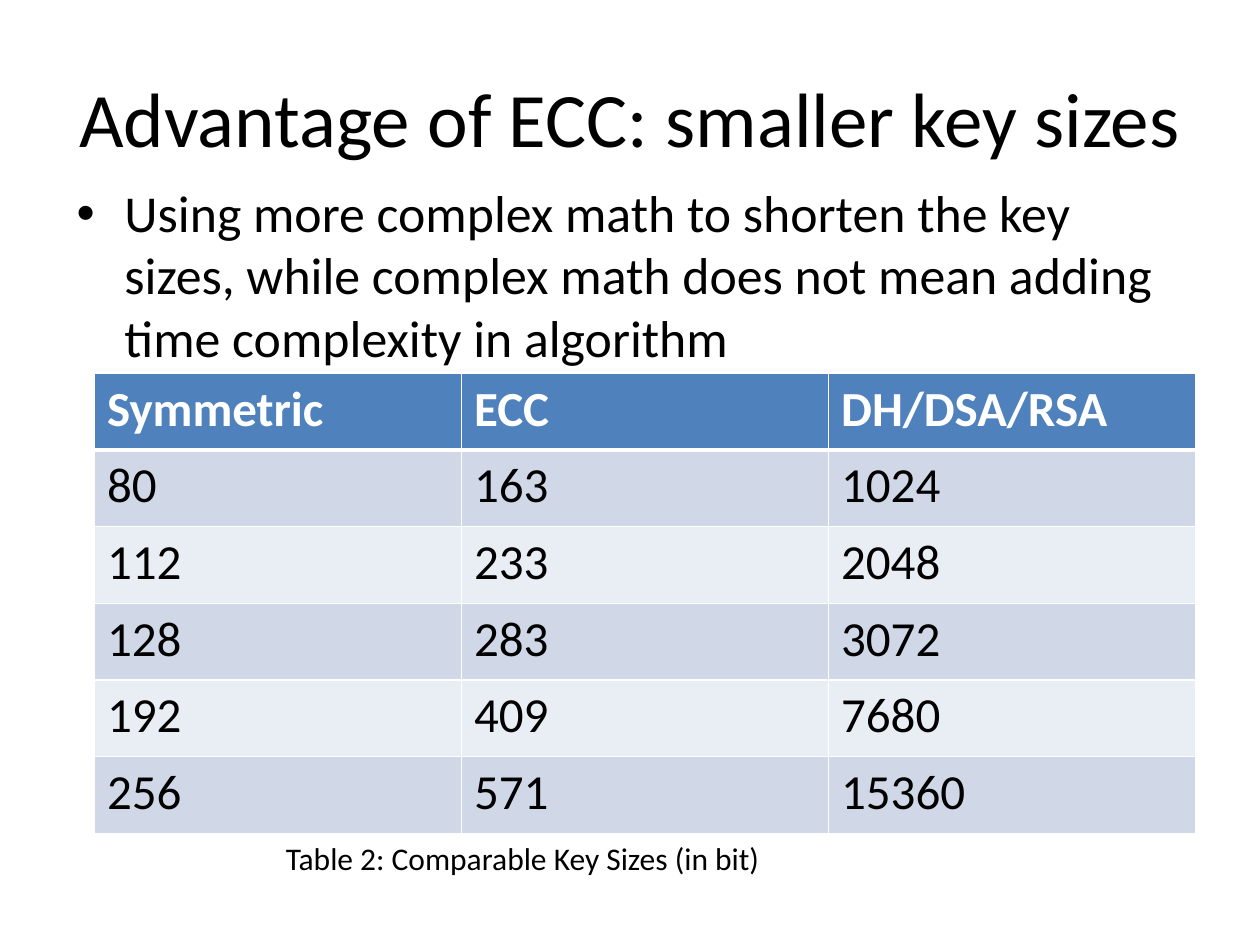
from lxml.etree import SubElement
from pptx import Presentation
from pptx.dml.color import RGBColor
from pptx.enum.text import MSO_ANCHOR as Anchor, PP_ALIGN as Align
from pptx.oxml.ns import qn
from pptx.util import Inches, Pt

WIDTH, HEIGHT = 10, 7.5
BLACK, WHITE, HEADER = "000000", "FFFFFF", "4F81BD"
BANDS = ("D0D8E8", "E9EDF4")
KEY_SIZES = [
    ("Symmetric", "ECC", "DH/DSA/RSA"),
    ("80", "163", "1024"),
    ("112", "233", "2048"),
    ("128", "283", "3072"),
    ("192", "409", "7680"),
    ("256", "571", "15360"),
]


def color(value):
    return RGBColor.from_string(value)


class SlideBuilder:
    """Holds the text style and the current slide."""

    font = "Calibri"

    def __init__(self, slide):
        self.slide = slide

    def area(self, left, top, width, height):
        """Turn shares of the slide's size into lengths."""
        return (Inches(left * WIDTH), Inches(top * HEIGHT),
                Inches(width * WIDTH), Inches(height * HEIGHT))

    def style(self, para, size, fill=BLACK, bold=False):
        para.font.name = self.font
        para.font.size = Pt(size)
        para.font.bold = bold
        para.font.color.rgb = color(fill)

    def text(self, place, words, size, align=Align.LEFT, anchor=Anchor.TOP):
        frame = self.slide.shapes.add_textbox(*self.area(*place)).text_frame
        frame.word_wrap = True
        frame.vertical_anchor = anchor
        para = frame.paragraphs[0]
        para.text = words
        para.alignment = align
        self.style(para, size)
        return para

    def bullet(self, place, words, size, indent):
        props = self.text(place, words, size)._p.get_or_add_pPr()
        props.set("marL", str(Inches(indent)))
        props.set("indent", str(-Inches(indent)))
        SubElement(props, qn("a:buFont")).set("typeface", "Arial")
        SubElement(props, qn("a:buChar")).set("char", "•")

    def borders(self, cell, top, bottom):
        props = cell._tc.get_or_add_tcPr()
        for side, points in (("L", 1), ("R", 1), ("T", top), ("B", bottom)):
            line = SubElement(props, qn(f"a:ln{side}"), w=str(Pt(points)))
            fill = SubElement(line, qn("a:solidFill"))
            SubElement(fill, qn("a:srgbClr"), val=WHITE)

    def table(self, place, rows, size):
        frame = self.slide.shapes.add_table(len(rows), len(rows[0]), *self.area(*place))
        for r, values in enumerate(rows):
            is_header = r == 0
            for c, value in enumerate(values):
                cell = frame.table.cell(r, c)
                cell.text = value
                self.style(cell.text_frame.paragraphs[0], size,
                           WHITE if is_header else BLACK, is_header)
                # A thicker rule parts the header from the body
                self.borders(cell, 3 if r == 1 else 1, 3 if is_header else 1)
                cell.fill.solid()
                cell.fill.fore_color.rgb = color(HEADER if is_header else BANDS[(r - 1) % 2])


def main():
    deck = Presentation()
    deck.slide_width, deck.slide_height = Inches(WIDTH), Inches(HEIGHT)
    page = SlideBuilder(deck.slides.add_slide(deck.slide_layouts[6]))

    # Title
    page.text((0.05, 0.04, 0.9, 0.167), "Advantage of ECC: smaller key sizes",
              44, Align.CENTER, Anchor.MIDDLE)

    # Key sizes and their caption
    page.table((0.075, 0.395, 0.874, 0.487), KEY_SIZES, 28)
    page.text((0.217, 0.881, 0.693, 0.053), "Table 2: Comparable Key Sizes (in bit)", 18)

    # Main point
    page.bullet((0.051, 0.185, 0.9, 0.21),
                "Using more complex math to shorten the key sizes, while complex math "
                "does not mean adding time complexity in algorithm", 29.6, 0.38)

    deck.save("out.pptx")


if __name__ == "__main__":
    main()
